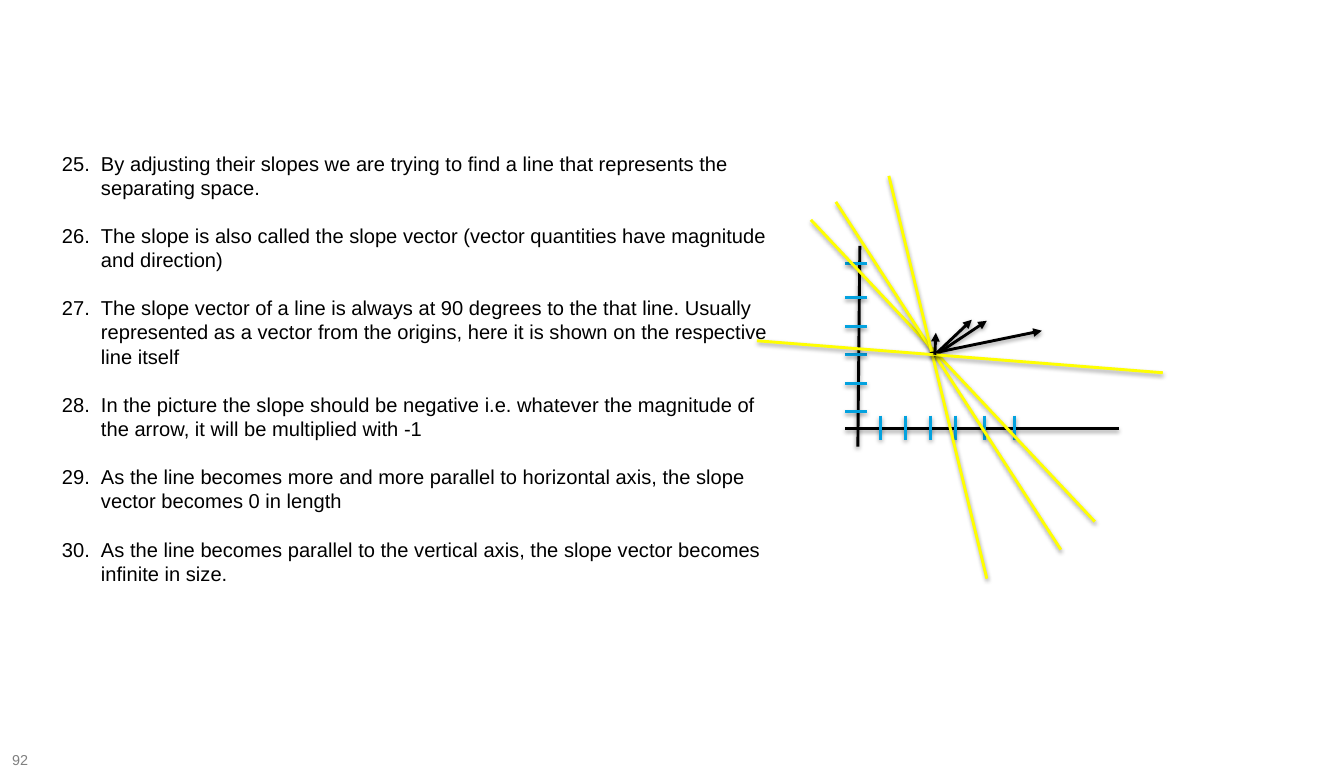
"""Build a slide on how slope vectors turn with their lines."""
from dataclasses import dataclass

from lxml import etree
from pptx import Presentation
from pptx.dml.color import RGBColor
from pptx.enum.shapes import MSO_CONNECTOR
from pptx.enum.text import MSO_ANCHOR, MSO_AUTO_SIZE, PP_ALIGN
from pptx.oxml.ns import qn
from pptx.util import Emu, Inches, Pt

STRAIGHT = MSO_CONNECTOR.STRAIGHT
MIDDLE = MSO_ANCHOR.MIDDLE
NO_AUTOFIT = MSO_AUTO_SIZE.NONE
LEFT = PP_ALIGN.LEFT
PX = 914400 / 103.4

FIRST_NUMBER = 25
STATEMENTS = [
    "By adjusting their slopes we are trying to find a line that represents the separating space.",
    "The slope is also called the slope vector (vector quantities have magnitude and direction)",
    "The slope vector of a line is always at 90 degrees to the that line. Usually represented "
    "as a vector from the origins, here it is shown on the respective line itself",
    "In the picture the slope should be negative i.e. whatever the magnitude of the arrow, "
    "it will be multiplied with -1",
    "As the line becomes more and more parallel to horizontal axis, the slope vector becomes 0 in length",
    "As the line becomes parallel to the vertical axis, the slope vector becomes infinite in size.",
]
PAGE_NUMBER = "92"

STATEMENTS_BOX = (52, 116, 747, 480)
STATEMENTS_INSET = 35
HANGING_INDENT = 39
PAGE_BOX = (2, 752, 53, 17)
HORIZONTAL_AXIS = (1119, 429, 845, 429)
VERTICAL_AXIS = (860, 246, 858, 447)
TICKS_ACROSS = [881, 906, 931, 956, 985, 1015]
TICKS_UP = [412, 384, 355, 327, 298, 264]
TICK_TOP, TICK_BOTTOM = 416, 440
TICK_LEFT, TICK_RIGHT = 845, 867
LINES_WITH_SLOPES = [
    ((811, 220, 1095, 522), (934, 356, 972, 320)),
    ((836, 202, 1061, 550), (933, 357, 987, 321)),
    ((889, 176, 987, 579), (930, 354, 1042, 331)),
    ((757, 341, 1163, 373), (935, 355, 936, 333)),
]


@dataclass(frozen=True)
class Theme:
    font: str = "Arial"
    ink: str = "000000"
    tick: str = "03A2DF"
    separator: str = "FFFF00"
    page: str = "808080"
    body_size: float = 14
    body_leading: float = 16.8
    page_size: float = 10
    stroke: float = 2
    shadow_blur: float = 3.1
    shadow_distance: float = 1.6
    shadow_opacity: int = 38


THEME = Theme()


def px(length):
    return Emu(round(length * PX))


def style_font(font, size, color):
    font.name = THEME.font
    font.size = Pt(size)
    font.color.rgb = RGBColor.from_string(color)


def add_shadow(properties):
    effects = etree.SubElement(properties, qn("a:effectLst"))
    shadow = etree.SubElement(
        effects, qn("a:outerShdw"),
        blurRad=str(Pt(THEME.shadow_blur)), dist=str(Pt(THEME.shadow_distance)),
        dir="5400000", rotWithShape="0",
    )
    color = etree.SubElement(shadow, qn("a:srgbClr"), val=THEME.ink)
    etree.SubElement(color, qn("a:alpha"), val=str(THEME.shadow_opacity * 1000))


def draw_line(shapes, ends, color, arrow=False):
    stroke = shapes.add_connector(STRAIGHT, *map(px, ends))
    stroke.line.color.rgb = RGBColor.from_string(color)
    stroke.line.width = Pt(THEME.stroke)
    properties = stroke._element.spPr
    if arrow:
        etree.SubElement(properties.find(qn("a:ln")), qn("a:tailEnd"), type="triangle")
    add_shadow(properties)


def write_statements(body):
    body.left, body.top, body.width, body.height = map(px, STATEMENTS_BOX)
    frame = body.text_frame
    frame.word_wrap = True
    frame.auto_size = NO_AUTOFIT
    frame.margin_left = frame.margin_right = px(10)
    frame.margin_top, frame.margin_bottom = px(STATEMENTS_INSET), 0
    frame.text = "\n".join(STATEMENTS)
    for index, statement in enumerate(frame.paragraphs):
        properties = statement._p.get_or_add_pPr()
        properties.set("marL", str(px(HANGING_INDENT)))
        properties.set("indent", str(-px(HANGING_INDENT)))
        etree.SubElement(
            properties, qn("a:buAutoNum"), type="arabicPeriod", startAt=str(FIRST_NUMBER)
        )
        statement.alignment = LEFT
        statement.line_spacing = Pt(THEME.body_leading)
        statement.space_before = Pt(THEME.body_leading if index else 0)
        statement.space_after = Pt(0)
        style_font(statement.runs[0].font, THEME.body_size, THEME.ink)


def write_page_number(shapes):
    frame = shapes.add_textbox(*map(px, PAGE_BOX)).text_frame
    frame.word_wrap = True
    frame.vertical_anchor = MIDDLE
    frame.margin_top = frame.margin_bottom = 0
    frame.text = PAGE_NUMBER
    style_font(frame.paragraphs[0].runs[0].font, THEME.page_size, THEME.page)


def draw_diagram(shapes):
    draw_line(shapes, HORIZONTAL_AXIS, THEME.ink)
    for x in TICKS_ACROSS:
        draw_line(shapes, (x, TICK_TOP, x, TICK_BOTTOM), THEME.tick)
    draw_line(shapes, VERTICAL_AXIS, THEME.ink)
    for y in TICKS_UP:
        draw_line(shapes, (TICK_LEFT, y, TICK_RIGHT, y), THEME.tick)
    for separator, slope in LINES_WITH_SLOPES:
        pair = shapes.add_group_shape().shapes
        draw_line(pair, separator, THEME.separator)
        draw_line(pair, slope, THEME.ink, arrow=True)


def main():
    deck = Presentation()
    deck.slide_width, deck.slide_height = Inches(13), Inches(7.5)
    slide = deck.slides.add_slide(deck.slide_layouts[1])
    title = slide.shapes.title._element
    title.getparent().remove(title)
    write_statements(slide.placeholders[1])
    write_page_number(slide.shapes)
    draw_diagram(slide.shapes)
    deck.save("out.pptx")


if __name__ == "__main__":
    main()
